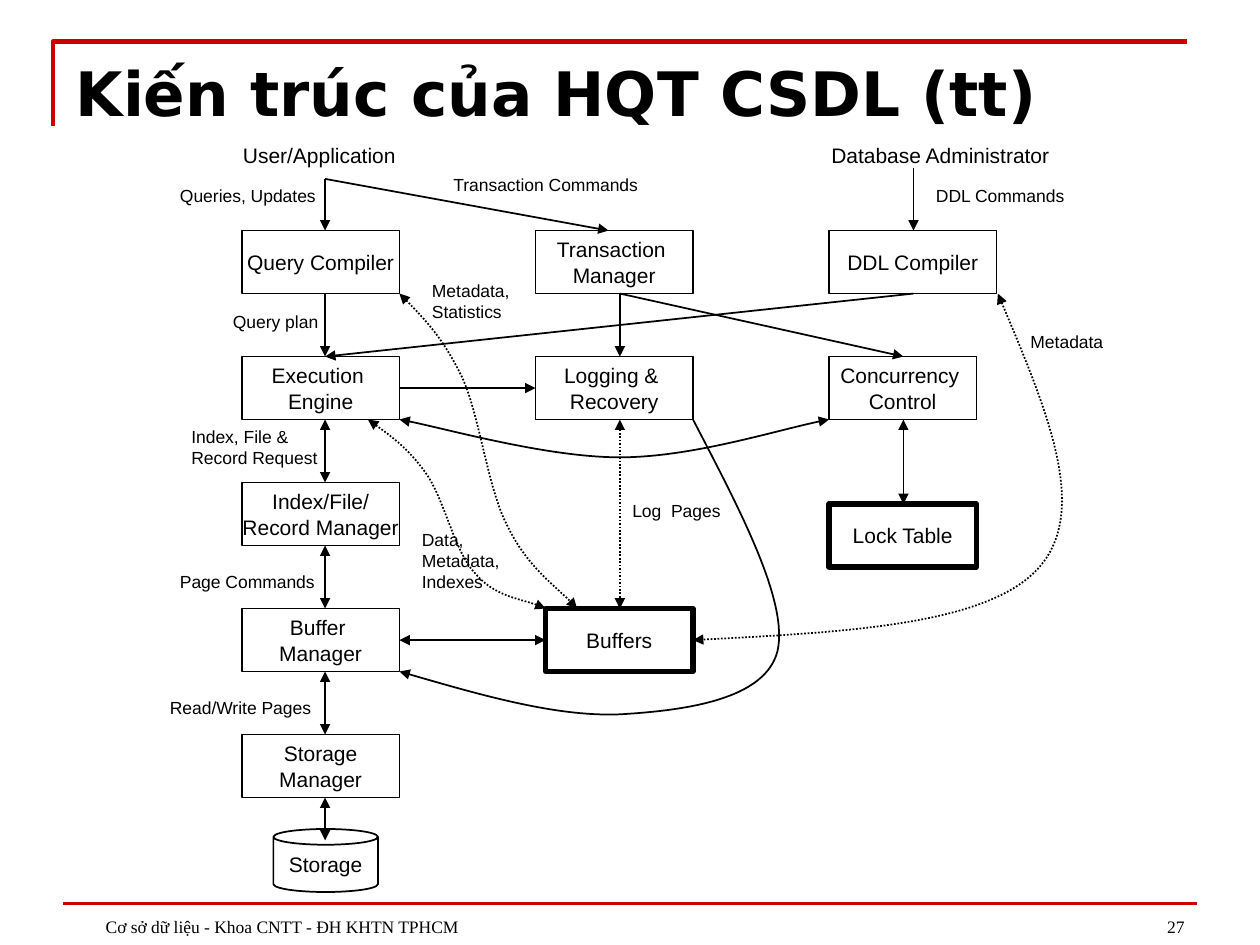
import pptx
import pptx.dml.color
import pptx.enum.dml
import pptx.enum.shapes
import pptx.enum.text
import pptx.oxml.ns
import pptx.util
from lxml import etree

Inches = pptx.util.Inches
Shape = pptx.enum.shapes.MSO_SHAPE
Anchor = pptx.enum.text.MSO_ANCHOR
Align = pptx.enum.text.PP_ALIGN
qn = pptx.oxml.ns.qn

BLACK, RED = "000000", "CC0000"
LEFT, MIDDLE, RIGHT = 1.92, 4.25, 6.58
FIRST_ROW, ROW_STEP, BOX_HEIGHT = 1.83, 1.0, 0.5
SPINE, LOG_X, LOCK_X, DDL_X = 2.58, 4.92, 7.17, 7.25

TITLE = "Kiến trúc của HQT CSDL (tt)"
FOOTER = "Cơ sở dữ liệu - Khoa CNTT - ĐH KHTN TPHCM"
PAGE_NUMBER = "27"

COMPONENTS = [
    ("Query Compiler", LEFT, 0, 1.25),
    ("Transaction \nManager", MIDDLE, 0, 1.25),
    ("DDL Compiler", RIGHT, 0, 1.33),
    ("Execution \nEngine", LEFT, 1, 1.25),
    ("Logging & \nRecovery", MIDDLE, 1, 1.25),
    ("Concurrency \nControl", RIGHT, 1, 1.17),
    ("Index/File/\nRecord Manager", LEFT, 2, 1.25),
    ("Buffer \nManager", LEFT, 3, 1.25),
    ("Storage\nManager", LEFT, 4, 1.25),
]
STORES = [
    ("Buffers", Shape.RECTANGLE, 4.33, 4.83, 1.17, 3),
    ("Lock Table", Shape.RECTANGLE, RIGHT, 4, 1.17, 3),
    ("Storage", Shape.CAN, 2.17, 6.58, 0.83, 1),
]
ACTORS = [
    ("User/Application", 1.83, 1.08, 1.5, 0.3),
    ("Database Administrator", 6.5, 1.08, 2, 0.3),
]
LABELS = [
    ("DDL Commands", 7.33, 1.42, 1.25, 0.27),
    ("Transaction Commands", 3.5, 1.33, 1.83, 0.27),
    ("Queries, Updates", 1.33, 1.42, 1.42, 0.27),
    ("Query plan", 1.75, 2.42, 0.92, 0.27),
    ("Index, File & Record Request", 1.42, 3.33, 1.25, 0.44),
    ("Page Commands", 1.33, 4.48, 1.33, 0.27),
    ("Read/Write Pages", 1.25, 5.48, 1.33, 0.27),
    ("Log  Pages", 4.92, 3.92, 1, 0.27),
    ("Metadata", 8.08, 2.58, 0.92, 0.27),
    ("Metadata, Statistics", 3.33, 2.17, 0.92, 0.44),
    ("Data, Metadata, Indexes", 3.25, 4.15, 0.92, 0.6),
]
ONE_WAY = [
    (DDL_X, 1.33, DDL_X, 1.83),
    (SPINE, 1.42, 4.83, 1.83),
    (SPINE, 1.42, SPINE, 1.83),
    (DDL_X, 2.33, SPINE, 2.83),
    (SPINE, 2.33, SPINE, 2.83),
    (LOG_X, 2.33, LOG_X, 2.83),
    (3.17, 3.08, MIDDLE, 3.08),
    (LOG_X, 2.33, LOCK_X, 2.83),
]
TWO_WAY = [
    (SPINE, 3.33, SPINE, 3.83),
    (SPINE, 4.33, SPINE, 4.83),
    (SPINE, 5.33, SPINE, 5.83),
    (SPINE, 6.33, SPINE, 6.67),
    (3.17, 5.08, 4.33, 5.08),
    (LOCK_X, 3.33, LOCK_X, 4),
]
LOG_PAGES = (LOG_X, 3.33, LOG_X, 4.83)
ENGINE_TO_CONTROL = [(3.17, 3.33), (3.46, 3.38), (4.35, 3.63), (4.92, 3.63),
                     (5.49, 3.63), (6.24, 3.39), (6.58, 3.33)]
RECOVERY_TO_BUFFER = [(5.5, 3.33), (5.88, 4.06), (6.26, 4.78), (6.17, 5.17),
                      (6.07, 5.56), (5.42, 5.64), (4.92, 5.67),
                      (4.42, 5.69), (3.79, 5.51), (3.17, 5.33)]
DATA_CURVES = [
    [(7.92, 2.33), (8.28, 3.19), (8.65, 4.04), (8.25, 4.5),
     (7.85, 4.96), (6.67, 5.02), (5.5, 5.08)],
    [(3.17, 2.33), (3.35, 2.51), (3.52, 2.69), (3.67, 3),
     (3.81, 3.31), (3.87, 3.88), (4.03, 4.18),
     (4.18, 4.49), (4.47, 4.7), (4.58, 4.83)],
    [(2.92, 3.33), (3.09, 3.45), (3.25, 3.57), (3.39, 3.77),
     (3.53, 3.98), (3.61, 4.38), (3.77, 4.55),
     (3.92, 4.73), (4.22, 4.77), (4.33, 4.83)],
]


def color(hex_code):
    return pptx.dml.color.RGBColor.from_string(hex_code)


def write(shape, text, size=12, font="Arial", bold=False, align=Align.LEFT,
          anchor=Anchor.TOP, wrap=True, margin=0):
    frame = shape.text_frame
    frame.text = text
    frame.word_wrap = wrap
    frame.vertical_anchor = anchor
    for paragraph in frame.paragraphs:
        paragraph.alignment = align
        if margin:
            paragraph._p.get_or_add_pPr().set("marL", str(Inches(margin)))
        for run in paragraph.runs:
            run.font.size = pptx.util.Pt(size)
            run.font.name = font
            run.font.bold = bold
            run.font.color.rgb = color(BLACK)


def stroke(shape, hex_code=BLACK, width=1, head=False, tail=False, dotted=False):
    shape.line.color.rgb = color(hex_code)
    shape.line.width = pptx.util.Pt(width)
    if dotted:
        shape.line.dash_style = pptx.enum.dml.MSO_LINE.ROUND_DOT
    outline = shape.line._get_or_add_ln()
    for tag, wanted in (("a:headEnd", head), ("a:tailEnd", tail)):
        if wanted:
            etree.SubElement(outline, qn(tag)).set("type", "triangle")


def add_text(text, left, top, width, height, **style):
    box = slide.shapes.add_textbox(*map(Inches, (left, top, width, height)))
    write(box, text, **style)


def add_box(text, kind, left, top, width, border=1):
    box = slide.shapes.add_shape(kind, *map(Inches, (left, top, width, BOX_HEIGHT)))
    box.shadow.inherit = False
    box.fill.background()
    stroke(box, width=border)
    write(box, text, align=Align.CENTER, anchor=Anchor.MIDDLE, wrap=False)


def add_line(ends, **style):
    line = slide.shapes.add_connector(
        pptx.enum.shapes.MSO_CONNECTOR.STRAIGHT, *map(Inches, ends))
    stroke(line, **style)
    etree.SubElement(line._element.spPr, qn("a:effectLst"))


def add_outline(points, curved=False, **style):
    start, *rest = [(Inches(x), Inches(y)) for x, y in points]
    builder = slide.shapes.build_freeform(*start)
    builder.add_line_segments(rest, close=False)
    outline = builder.convert_to_shape()
    outline.shadow.inherit = False
    outline.fill.background()
    stroke(outline, **style)
    if curved:
        segments = list(outline._element.iter(qn("a:lnTo")))
        route = segments[0].getparent()
        for first in range(0, len(segments), 3):
            bend = etree.SubElement(route, qn("a:cubicBezTo"))
            for segment in segments[first:first + 3]:
                bend.append(segment[0])
                route.remove(segment)


deck = pptx.Presentation()
deck.slide_width, deck.slide_height = Inches(10), Inches(7.5)
slide = deck.slides.add_slide(deck.slide_layouts[5])

title = slide.shapes.title
title.left, title.top, title.width, title.height = map(Inches, (0.5, 0.39, 9, 0.68))
write(title, TITLE, size=35, font="DejaVu Sans", bold=True)

add_outline([(0.42, 1), (0.42, 0.33), (9.42, 0.33)], hex_code=RED, width=2.5)
add_line((0.5, 7.17, 9.5, 7.17), hex_code=RED, width=2)

for text, left, row, width in COMPONENTS:
    add_box(text, Shape.RECTANGLE, left, FIRST_ROW + row * ROW_STEP, width)
for store in STORES:
    add_box(*store)

for ends in ONE_WAY:
    add_line(ends, tail=True)
for ends in TWO_WAY:
    add_line(ends, head=True, tail=True)
add_line(LOG_PAGES, head=True, tail=True, dotted=True)

add_outline(ENGINE_TO_CONTROL, curved=True, head=True, tail=True)
add_outline(RECOVERY_TO_BUFFER, curved=True, tail=True)
for points in DATA_CURVES:
    add_outline(points, curved=True, head=True, tail=True, dotted=True)

for actor in ACTORS:
    add_text(*actor)
for label in LABELS:
    add_text(*label, size=10)

small_print = dict(size=10, font="Times New Roman", anchor=Anchor.BOTTOM, margin=0.24)
add_text(PAGE_NUMBER, 7.17, 6.99, 2.33, 0.5, align=Align.RIGHT, **small_print)
add_text(FOOTER, 0.5, 6.99, 6.08, 0.5, **small_print)

deck.save("out.pptx")
